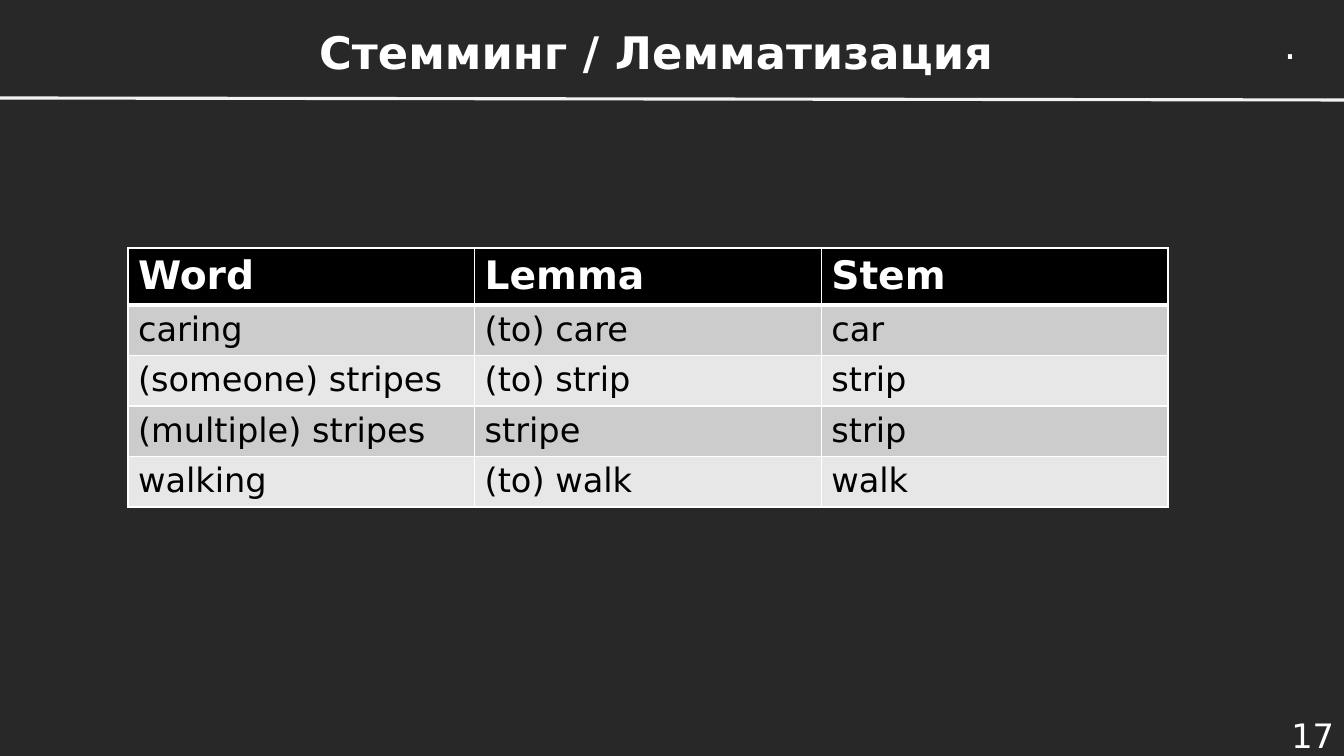
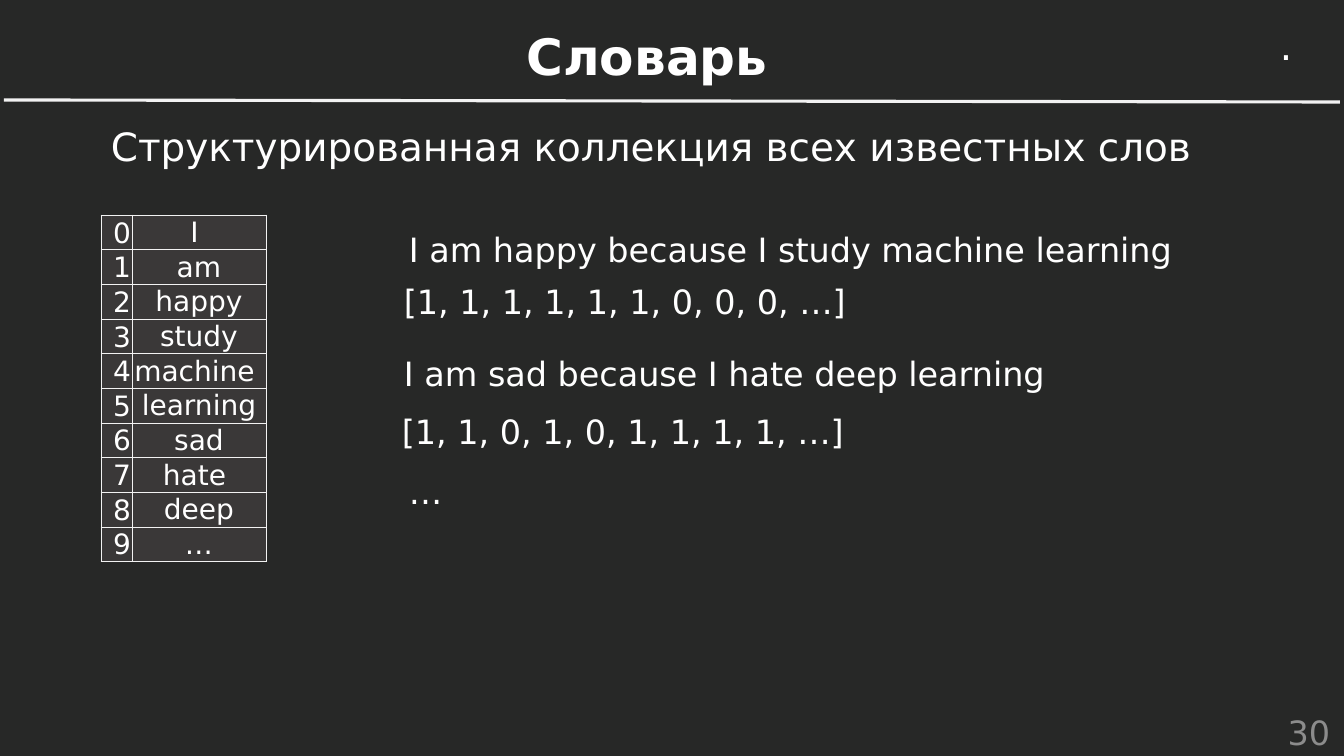
from lxml import etree
from pptx import Presentation
from pptx.dml.color import RGBColor
from pptx.enum.shapes import MSO_CONNECTOR
from pptx.enum.text import MSO_ANCHOR, PP_ALIGN
from pptx.oxml.ns import qn
from pptx.util import Pt

STRAIGHT = MSO_CONNECTOR.STRAIGHT
TOP, MIDDLE, BOTTOM = MSO_ANCHOR.TOP, MSO_ANCHOR.MIDDLE, MSO_ANCHOR.BOTTOM
LEFT, CENTER, RIGHT = PP_ALIGN.LEFT, PP_ALIGN.CENTER, PP_ALIGN.RIGHT
FONT = "DejaVu Sans"
PX = 914400 / 100.8
COLORS = {
    "back": "272827", "white": "FFFFFF", "black": "000000", "rule": "F2F2F2",
    "muted": "8C8C8C", "odd": "CCCCCC", "even": "E7E7E7", "cell": "3A3838",
}
RGB = {name: RGBColor.from_string(value) for name, value in COLORS.items()}


def add_text(s, box, text, size, color="white", align=LEFT, anchor=TOP, bold=False, wrap=True):
    tf = s.shapes.add_textbox(*[round(v * PX) for v in box]).text_frame
    tf.word_wrap = wrap
    tf.vertical_anchor = anchor
    p = tf.paragraphs[0]
    p.text = text
    p.alignment = align
    p.font.name, p.font.size, p.font.bold = FONT, Pt(size), bold
    p.font.color.rgb = RGB[color]


def style_cell(cell, text, size, color, fill, border, widths, align=LEFT, bold=False):
    tcPr = cell._tc.get_or_add_tcPr()
    for side, width in zip(("lnL", "lnR", "lnT", "lnB"), widths):
        ln = etree.SubElement(tcPr, qn("a:" + side), w=str(Pt(width)))
        solid = etree.SubElement(ln, qn("a:solidFill"))
        etree.SubElement(solid, qn("a:srgbClr"), val=COLORS[border])
    cell.fill.solid()
    cell.fill.fore_color.rgb = RGB[fill]
    p = cell.text_frame.paragraphs[0]
    p.text = text
    p.alignment = align
    p.font.name, p.font.size, p.font.bold = FONT, Pt(size), bold
    p.font.color.rgb = RGB[color]


prs = Presentation()
prs.slide_width, prs.slide_height = round(1344 * PX), round(756 * PX)

FRAMES = [
    ("Стемминг / Лемматизация", 32, (220, 6, 873, 92),
     "17", 24, "white", (1238, 714, 106, 42),
     (0, 98, 1344, 100), 28, (1274, 15, 34, 57)),
    ("Словарь", 35.8, (213, 10, 868, 91),
     "30", 23.9, "muted", (1235, 711, 105, 42),
     (4, 100, 1340, 102), 27.8, (1270, 17, 34, 57)),
]
slides = []
for title, title_size, title_box, number, number_size, number_color, number_box, ends, dot_size, dot_box in FRAMES:
    s = prs.slides.add_slide(prs.slide_layouts[6])
    s.background.fill.solid()
    s.background.fill.fore_color.rgb = RGB["back"]
    add_text(s, title_box, title, title_size, align=CENTER, anchor=MIDDLE, bold=True)
    add_text(s, number_box, number, number_size, number_color, RIGHT, MIDDLE)
    rule = s.shapes.add_connector(STRAIGHT, *[round(v * PX) for v in ends])
    rule.line.color.rgb = RGB["rule"]
    rule.line.width = Pt(2.25)
    etree.SubElement(rule._element.spPr, qn("a:effectLst"))
    add_text(s, dot_box, ".", dot_size, wrap=False)
    slides.append(s)
stemming, vocabulary = slides

FORMS = [
    ("Word", "Lemma", "Stem"),
    ("caring", "(to) care", "car"),
    ("(someone) stripes", "(to) strip", "strip"),
    ("(multiple) stripes", "stripe", "strip"),
    ("walking", "(to) walk", "walk"),
]
table = stemming.shapes.add_table(
    len(FORMS), 3, *[round(v * PX) for v in (128, 248, 1040, 259)]).table
for i, row in enumerate(FORMS):
    table.rows[i].height = round((50 if i else 57) * PX)
    for j, text in enumerate(row):
        if i == 0:
            style_cell(table.cell(i, j), text, 28, "white", "black", "white", (1, 1, 1, 3), bold=True)
        else:
            style_cell(table.cell(i, j), text, 24, "black", "odd" if i % 2 else "even",
                       "white", (1, 1, 3 if i == 1 else 1, 1))

LINES = [
    ((101, 118, 1225, 57), "Структурированная коллекция всех известных слов", 27.8),
    ((399, 224, 853, 50), "I am happy because I study machine learning", 23.9),
    ((394, 276, 853, 50), "[1, 1, 1, 1, 1, 1, 0, 0, 0, …]", 23.9),
    ((394, 348, 812, 50), "I am sad because I hate deep learning", 23.9),
    ((392, 406, 853, 50), "[1, 1, 0, 1, 0, 1, 1, 1, 1, …]", 23.9),
    ((399, 466, 103, 50), "…", 23.9),
]
for box, text, size in LINES:
    add_text(vocabulary, box, text, size)

WORDS = ["I ", "am", "happy", "study", "machine ", "learning", "sad", "hate ", "deep", "…"]
table = vocabulary.shapes.add_table(
    len(WORDS), 2, *[round(v * PX) for v in (101, 215, 165, 345)]).table
for column, width in zip(table.columns, (31, 134)):
    column.width = round(width * PX)
for i, word in enumerate(WORDS):
    for j, (text, align, anchor) in enumerate([(str(i), RIGHT, BOTTOM), (word, CENTER, MIDDLE)]):
        cell = table.cell(i, j)
        cell.margin_left = cell.margin_right = cell.margin_top = round(PX)
        cell.margin_bottom = 0
        cell.vertical_anchor = anchor
        style_cell(cell, text, 20, "white", "cell", "rule", (0.5,) * 4, align)

prs.save("out.pptx")
